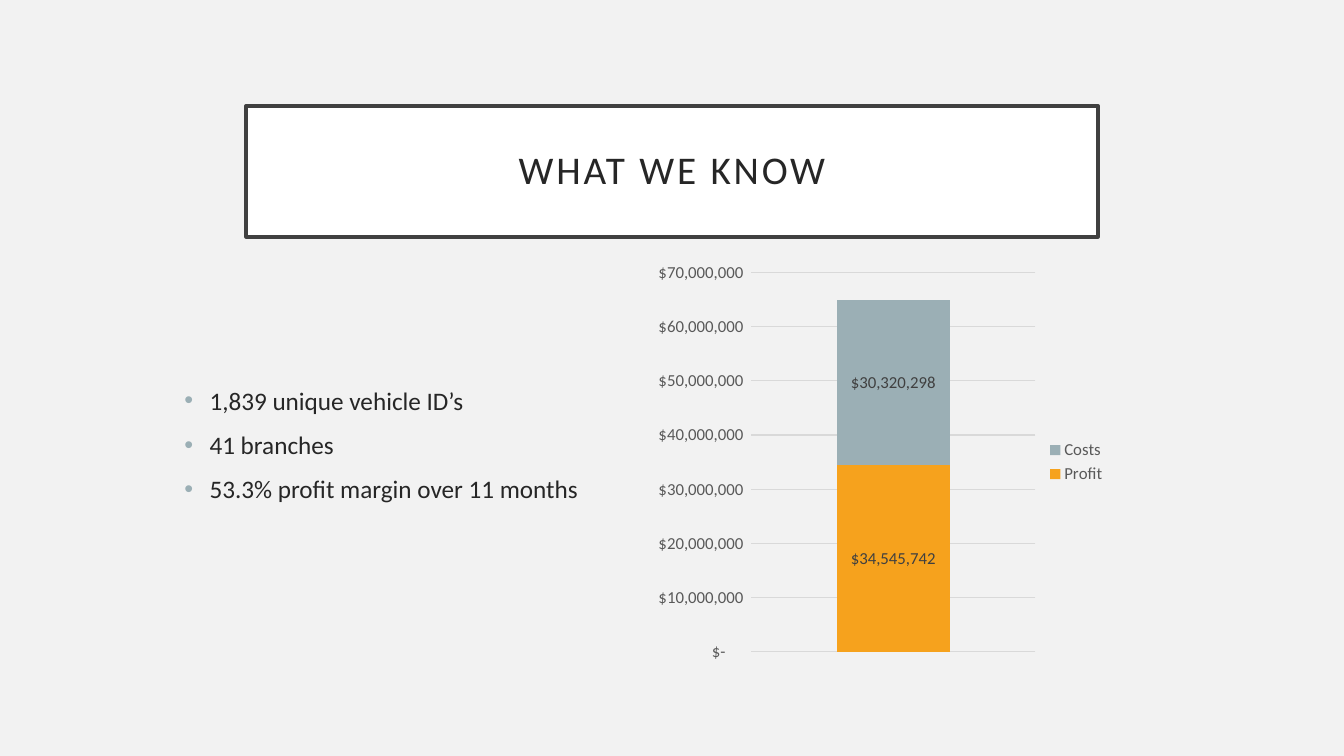
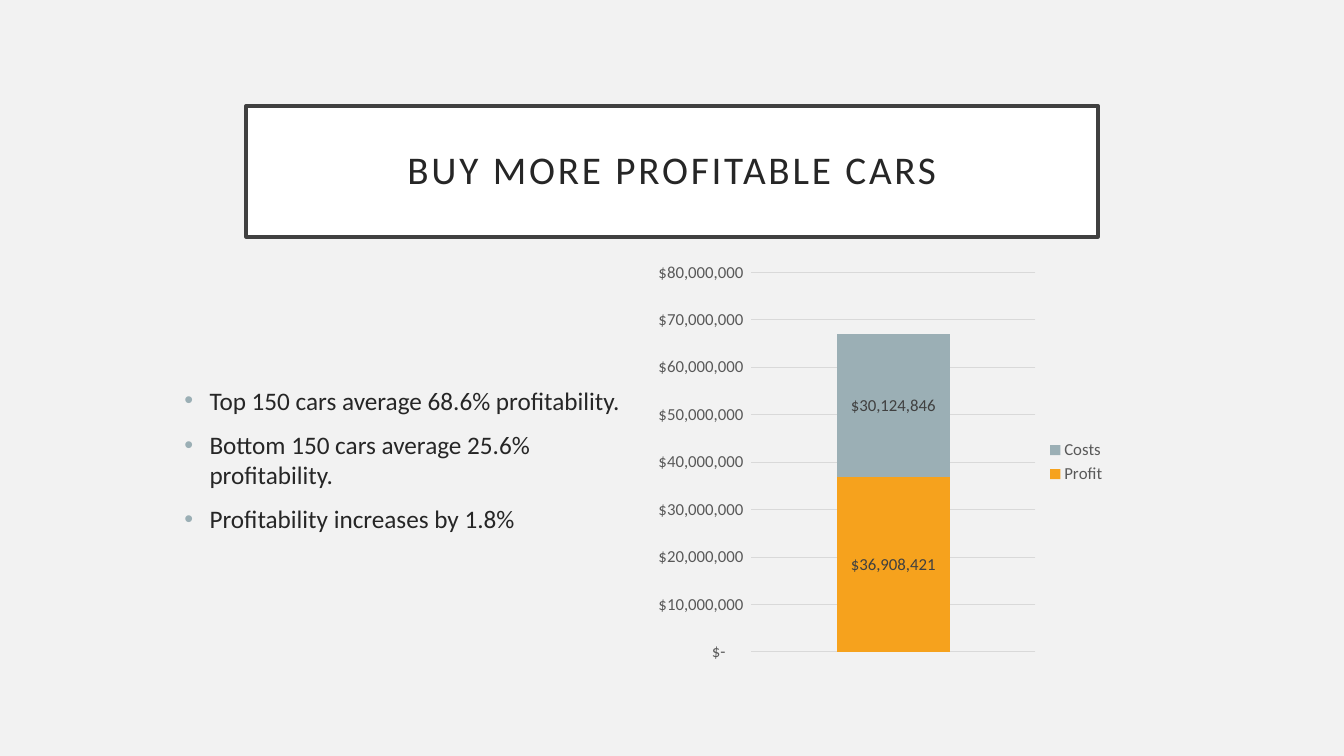
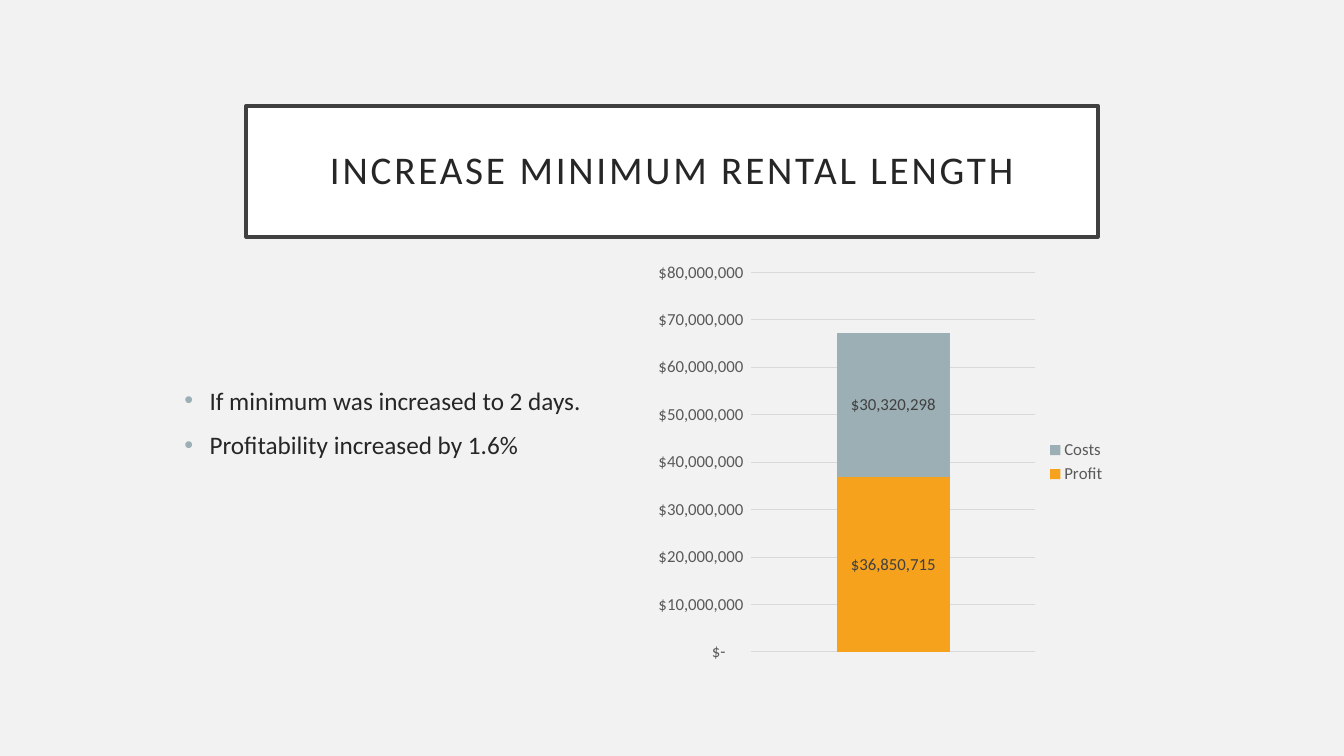
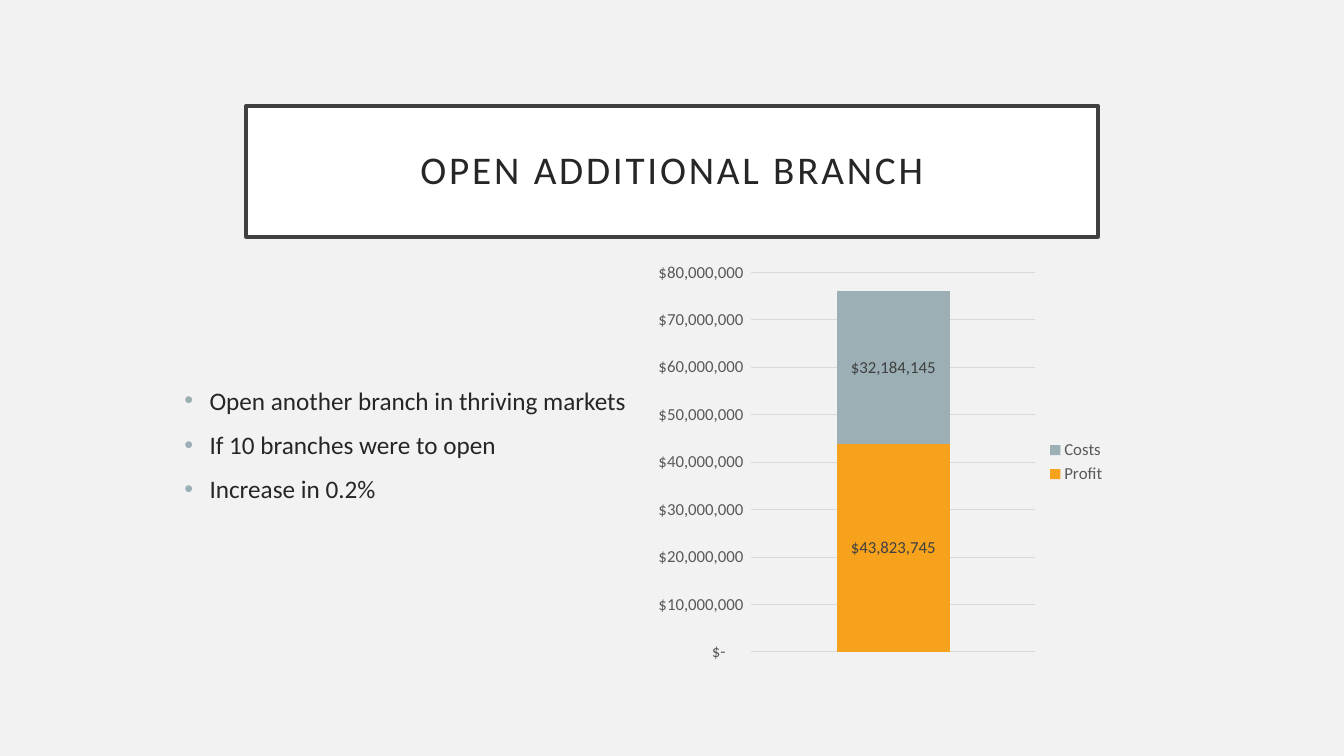
from lxml import etree
from pptx import Presentation
from pptx.chart.data import CategoryChartData
from pptx.dml.color import RGBColor
from pptx.enum.chart import XL_CHART_TYPE, XL_LABEL_POSITION, XL_LEGEND_POSITION, XL_TICK_MARK
from pptx.enum.text import MSO_ANCHOR, MSO_AUTO_SIZE, PP_ALIGN
from pptx.oxml.ns import qn
from pptx.util import Inches, Pt

STACKED = XL_CHART_TYPE.COLUMN_STACKED
LABEL_CENTER = XL_LABEL_POSITION.CENTER
LEGEND_RIGHT = XL_LEGEND_POSITION.RIGHT
NO_TICKS = XL_TICK_MARK.NONE
MIDDLE = MSO_ANCHOR.MIDDLE
NO_AUTOFIT = MSO_AUTO_SIZE.NONE
CENTER = PP_ALIGN.CENTER

BACKGROUND = RGBColor(0xF2, 0xF2, 0xF2)
WHITE = RGBColor(0xFF, 0xFF, 0xFF)
FRAME = RGBColor(0x40, 0x40, 0x40)
INK = RGBColor(0x26, 0x26, 0x26)
AXIS_TEXT = RGBColor(0x59, 0x59, 0x59)
GRID = RGBColor(0xD9, 0xD9, 0xD9)
ORANGE = RGBColor(0xF6, 0xA2, 0x1D)
BLUE_GREY = RGBColor(0x9B, 0xAF, 0xB5)

FONT = "Calibri"
DOLLARS = '_("$"* #,##0_);_("$"* \\(#,##0\\);_("$"* "-"??_);_(@_)'
TITLE_ONLY = 5

# title, bullets, profit, costs
SCENARIOS = [
    ("WHAT WE KNOW",
     ["1,839 unique vehicle ID’s", "41 branches", "53.3% profit margin over 11 months"],
     34545742, 30320298),
    ("BUY MORE PROFITABLE CARS",
     ["Top 150 cars average 68.6% profitability.",
      "Bottom 150 cars average 25.6% profitability.",
      "Profitability increases by 1.8%"],
     36908421, 30124846),
    ("INCREASE MINIMUM RENTAL LENGTH",
     ["If minimum was increased to 2 days.", "Profitability increased by 1.6%"],
     36850715, 30320298),
    ("OPEN ADDITIONAL BRANCH",
     ["Open another branch in thriving markets", "If 10 branches were to open",
      "Increase in 0.2%"],
     43823745, 32184145),
]


def set_format(target, **values):
    """Set each named attribute on the target."""
    for name, value in values.items():
        setattr(target, name, value)


def set_font(font, size, color):
    """Apply the deck's font in a size and colour."""
    set_format(font, name=FONT, size=Pt(size))
    font.color.rgb = color


def add_title(slide, text):
    """Place the framed, letter-spaced title."""
    title = slide.shapes.title
    set_format(title, left=Inches(2.44), top=Inches(1.05),
               width=Inches(8.45), height=Inches(1.3))
    title.fill.solid()
    title.fill.fore_color.rgb = WHITE
    title.line.color.rgb = FRAME
    title.line.width = Pt(2.5)
    frame = title.text_frame
    inset = Inches(0.2)
    set_format(frame, text=text, word_wrap=True, auto_size=NO_AUTOFIT,
               vertical_anchor=MIDDLE, margin_left=inset, margin_right=inset,
               margin_top=inset, margin_bottom=inset)
    paragraph = frame.paragraphs[0]
    set_format(paragraph, alignment=CENTER, line_spacing=0.9)
    run = paragraph.runs[0]
    set_font(run.font, 28, INK)
    run._r.get_or_add_rPr().set("spc", "200")


def add_bullet_mark(paragraph):
    """Give a paragraph a coloured bullet with a hanging indent."""
    properties = paragraph._p.get_or_add_pPr()
    properties.set("marL", str(Inches(0.25)))
    properties.set("indent", str(-Inches(0.25)))
    color = etree.SubElement(properties, qn("a:buClr"))
    etree.SubElement(color, qn("a:srgbClr"), val=str(BLUE_GREY))
    etree.SubElement(properties, qn("a:buFont"), typeface="Arial")
    etree.SubElement(properties, qn("a:buChar"), char="•")


def add_bullets(slide, findings):
    """List the findings on the left."""
    box = slide.shapes.add_textbox(Inches(1.73), Inches(3.77), Inches(4.67), Inches(2.5))
    frame = box.text_frame
    frame.word_wrap = True
    for index, finding in enumerate(findings):
        paragraph = frame.add_paragraph() if index else frame.paragraphs[0]
        paragraph.text = finding
        paragraph.space_before = Pt(10)
        set_font(paragraph.runs[0].font, 18, INK)
        add_bullet_mark(paragraph)


def format_value_axis(axis):
    """Show dollar labels and thin gridlines without an axis line."""
    set_format(axis, major_tick_mark=NO_TICKS, minor_tick_mark=NO_TICKS,
               has_major_gridlines=True)
    axis.format.line.fill.background()
    gridline = axis.major_gridlines.format.line
    gridline.color.rgb = GRID
    gridline.width = Pt(0.75)
    labels = axis.tick_labels
    set_format(labels, number_format=DOLLARS, number_format_is_linked=False)
    set_font(labels.font, 12, AXIS_TEXT)


def add_revenue_chart(slide, profit, costs):
    """Stack costs on profit in one column."""
    data = CategoryChartData()
    data.categories = ["1"]
    data.add_series("Profit", [profit])
    data.add_series("Costs", [costs])
    chart = slide.shapes.add_chart(STACKED, Inches(6.4), Inches(2.52), Inches(4.67),
                                   Inches(4.13), data).chart
    set_format(chart, has_title=False, has_legend=True)
    set_format(chart.font, name=FONT, size=Pt(10))
    set_format(chart.legend, position=LEGEND_RIGHT, include_in_layout=False)
    set_font(chart.legend.font, 12, AXIS_TEXT)
    chart.category_axis.visible = False
    format_value_axis(chart.value_axis)
    plot = chart.plots[0]
    set_format(plot, gap_width=150, overlap=100, vary_by_categories=False)
    for series, color in zip(plot.series, (ORANGE, BLUE_GREY)):
        series.format.fill.solid()
        series.format.fill.fore_color.rgb = color
        labels = series.data_labels
        set_format(labels, show_value=True, position=LABEL_CENTER,
                   number_format=DOLLARS, number_format_is_linked=False)
        set_font(labels.font, 12, FRAME)


def main():
    """Build one slide per scenario and save the deck."""
    deck = Presentation()
    set_format(deck, slide_width=Inches(13.33), slide_height=Inches(7.5))
    layout = deck.slide_layouts[TITLE_ONLY]
    backdrop = layout.background.fill
    backdrop.solid()
    backdrop.fore_color.rgb = BACKGROUND
    for title, findings, profit, costs in SCENARIOS:
        slide = deck.slides.add_slide(layout)
        add_title(slide, title)
        add_bullets(slide, findings)
        add_revenue_chart(slide, profit, costs)
    deck.save("out.pptx")


main()
